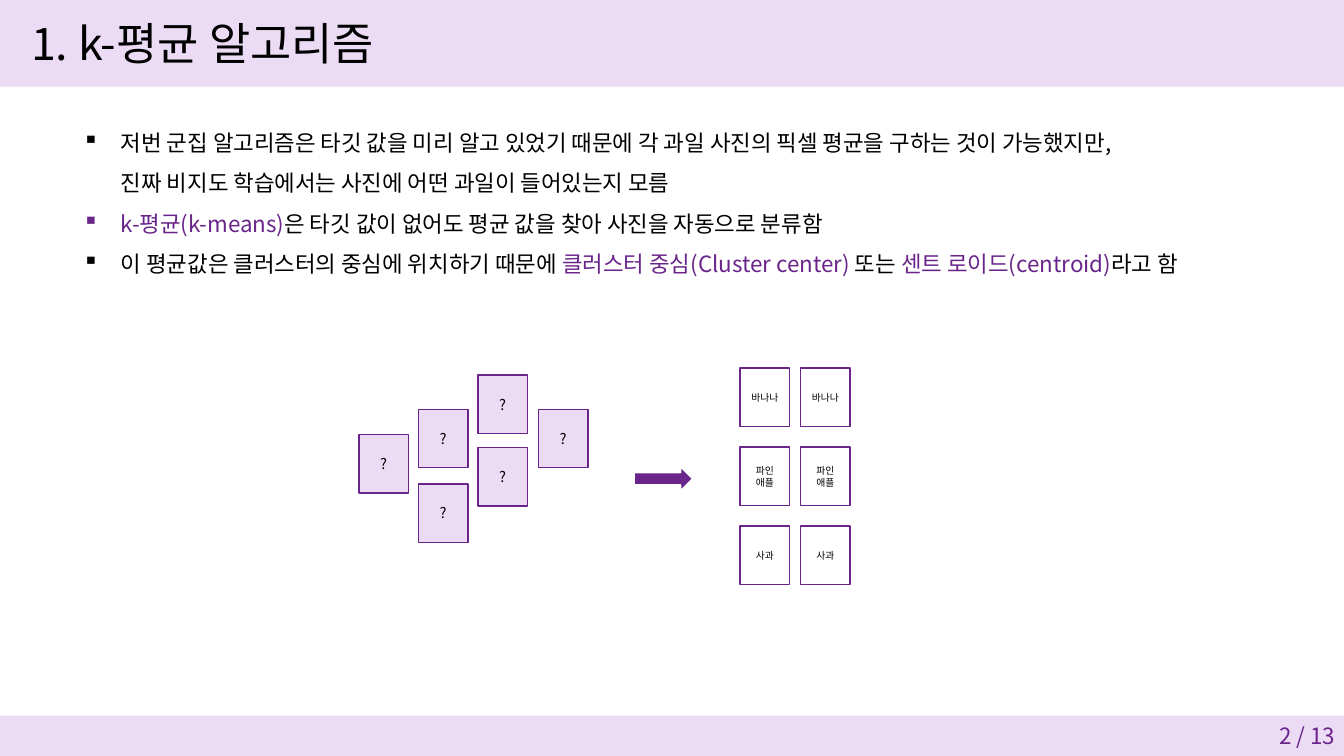
from lxml import etree
from pptx import Presentation
from pptx.dml.color import RGBColor
from pptx.enum import shapes, text
from pptx.oxml import ns
from pptx.util import Inches, Pt

LILAC = RGBColor(0xEC, 0xDB, 0xF5)
PURPLE = RGBColor(0x69, 0x25, 0x8A)
BLACK = RGBColor(0, 0, 0)
WHITE = RGBColor(255, 255, 255)
KOREAN = "Noto Sans CJK KR"
SLIDE_WIDTH = 13.33
CARD_WIDTH, CARD_HEIGHT = 0.49, 0.58


def add_block(kind, left, top, width, height, fill, line=None):
    block = slide.shapes.add_shape(
        kind, Inches(left), Inches(top), Inches(width), Inches(height))
    block.shadow.inherit = False
    block.fill.solid()
    block.fill.fore_color.rgb = fill
    if line is None:
        block.line.fill.background()
    else:
        block.line.color.rgb = line
        block.line.width = Pt(1)
    return block


def write(frame, paragraphs, size, font=KOREAN, align=text.PP_ALIGN.LEFT,
          anchor=text.MSO_ANCHOR.TOP, wrap=True, bullet=None, spacing=None):
    """Fill a text frame; each paragraph is a list of (wording, colour) runs."""
    frame.word_wrap = wrap
    frame.vertical_anchor = anchor
    if not wrap:
        frame.auto_size = text.MSO_AUTO_SIZE.SHAPE_TO_FIT_TEXT
    for index, runs in enumerate(paragraphs):
        paragraph = frame.add_paragraph() if index else frame.paragraphs[0]
        paragraph.alignment = align
        if spacing:
            paragraph.line_spacing = spacing
        if bullet:
            properties = paragraph._p.get_or_add_pPr()
            properties.set("marL", str(Inches(0.38)))
            properties.set("indent", str(-Inches(0.38)))
            etree.SubElement(properties, ns.qn("a:buChar"), char=bullet)
        for wording, colour in runs:
            for row, words in enumerate(wording.split("\n")):
                if row:
                    paragraph.add_line_break()
                run = paragraph.add_run()
                run.text = words
                run.font.size = Pt(size)
                run.font.name = font
                run.font.color.rgb = colour
                etree.SubElement(run._r.get_or_add_rPr(), ns.qn("a:ea"), typeface=KOREAN)


presentation = Presentation()
presentation.slide_width = Inches(SLIDE_WIDTH)
presentation.slide_height = Inches(7.5)
slide = presentation.slides.add_slide(presentation.slide_layouts[6])

# Header and footer bands
for top, height in ((0, 0.86), (7.1, 0.4)):
    add_block(shapes.MSO_SHAPE.RECTANGLE, 0, top, SLIDE_WIDTH, height, LILAC)

title = slide.shapes.add_textbox(Inches(0.21), Inches(0.11), Inches(3.77), Inches(0.64))
write(title.text_frame, [[("1. k-평균 알고리즘", BLACK)]], 32, wrap=False)

page_number = slide.shapes.add_textbox(Inches(10.34), Inches(7.1), Inches(3), Inches(0.4))
write(page_number.text_frame, [[("2 / 13", PURPLE)]], 16,
      align=text.PP_ALIGN.RIGHT, anchor=text.MSO_ANCHOR.MIDDLE)

# Explanation
points = [
    [("저번 군집 알고리즘은 타깃 값을 미리 알고 있었기 때문에 각 과일 사진의 픽셀 평균을 "
      "구하는 것이 가능했지만, \n진짜 비지도 학습에서는 사진에 어떤 과일이 들어있는지 모름", BLACK)],
    [("k-평균(k-means)", PURPLE),
     ("은 타깃 값이 없어도 평균 값을 찾아 사진을 자동으로 분류함", BLACK)],
    [("이 평균값은 클러스터의 중심에 위치하기 때문에 ", BLACK),
     ("클러스터 중심(Cluster center) ", PURPLE),
     ("또는 ", BLACK),
     ("센트 로이드(centroid)", PURPLE),
     ("라고 함", BLACK)],
]
explanation = slide.shapes.add_textbox(Inches(0.72), Inches(1.1), Inches(11.71), Inches(1.68))
write(explanation.text_frame, points, 16, wrap=False, bullet="▪", spacing=1.5)

# Unlabelled photos on the left, sorted clusters on the right
unknown_places = [(3.56, 4.31), (4.74, 3.72), (4.15, 4.06),
                  (4.15, 4.8), (4.74, 4.44), (5.34, 4.06)]
cards = [(left, top, ["?"], LILAC, 10.5, KOREAN) for left, top in unknown_places]
for row, fruit in enumerate((["바나나"], ["파인", "애플"], ["사과"])):
    for column in range(2):
        cards.append((7.34 + 0.6 * column, 3.65 + 0.785 * row, fruit, WHITE, 7, "Lato"))

for left, top, label, fill, size, font in cards:
    card = add_block(shapes.MSO_SHAPE.RECTANGLE, left, top,
                     CARD_WIDTH, CARD_HEIGHT, fill, PURPLE)
    write(card.text_frame, [[(words, BLACK)] for words in label], size, font=font,
          align=text.PP_ALIGN.CENTER, anchor=text.MSO_ANCHOR.MIDDLE)

add_block(shapes.MSO_SHAPE.RIGHT_ARROW, 6.29, 4.63, 0.58, 0.24, PURPLE, WHITE)

presentation.save("out.pptx")
